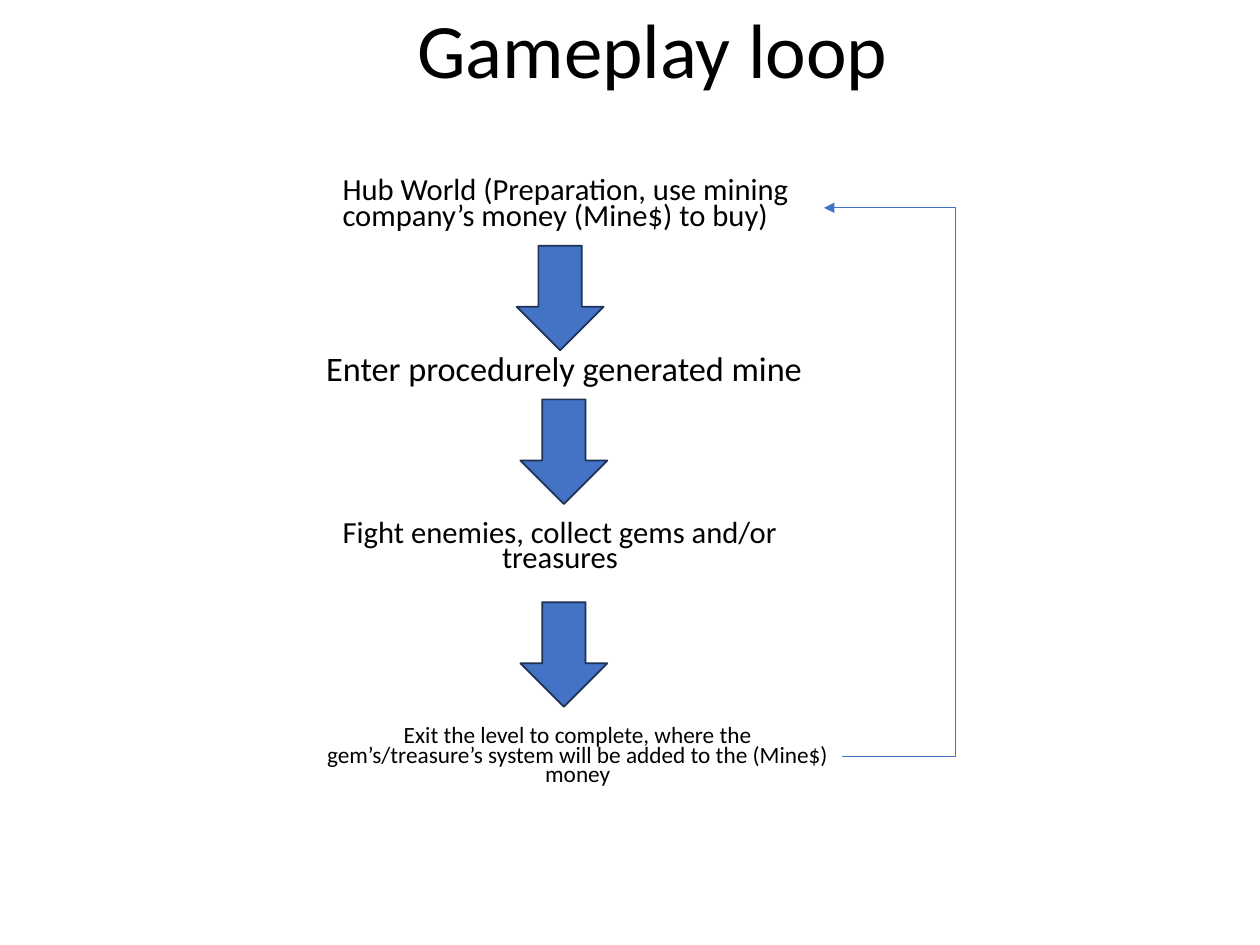
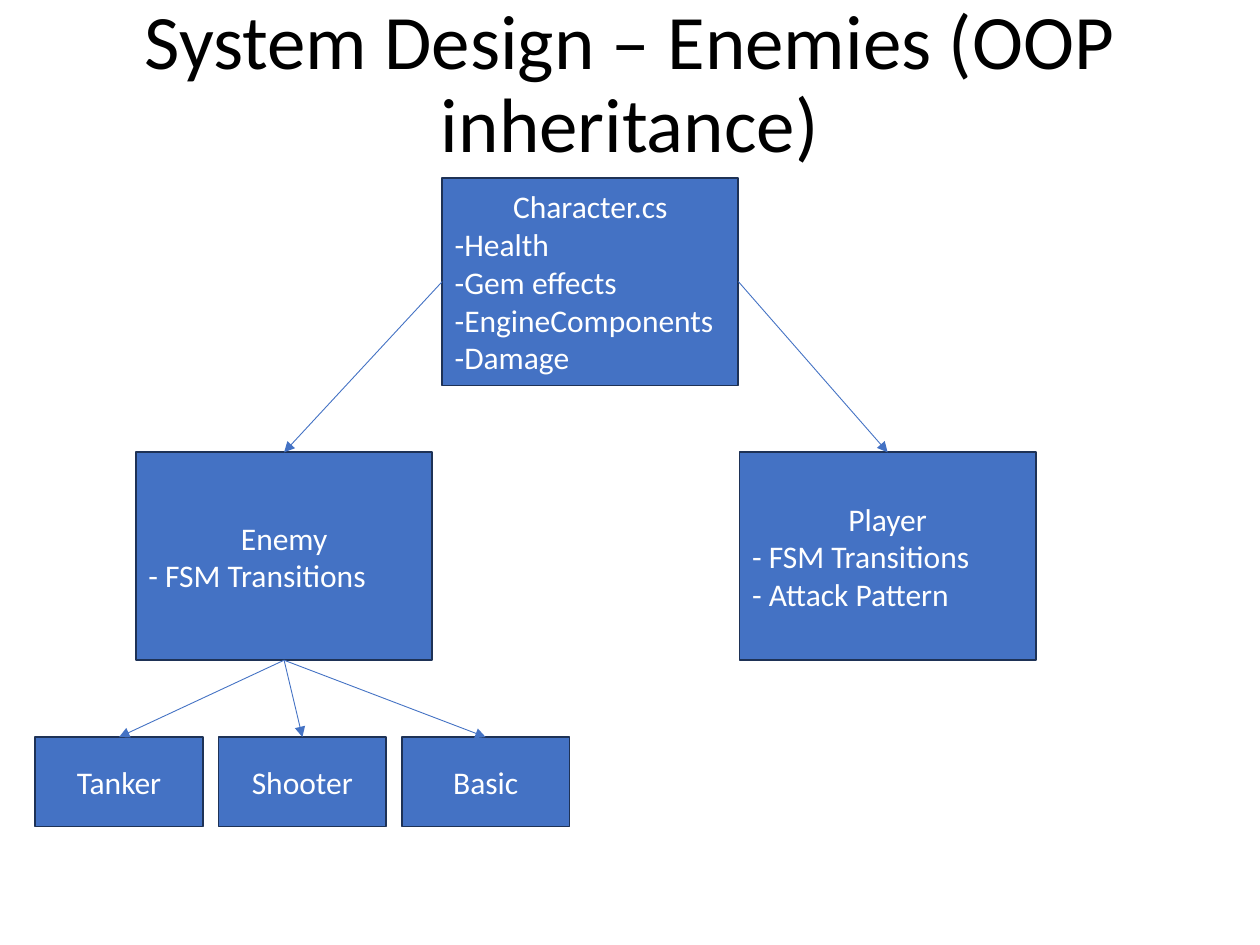
from dataclasses import dataclass

from lxml.etree import SubElement
from pptx import Presentation
from pptx.dml.color import RGBColor
from pptx.enum.shapes import MSO_CONNECTOR, MSO_SHAPE
from pptx.enum.text import MSO_ANCHOR, MSO_AUTO_SIZE, PP_ALIGN
from pptx.oxml.ns import qn
from pptx.util import Inches, Pt


@dataclass(frozen=True)
class Theme:
    font: str = "Calibri"
    text: RGBColor = RGBColor(0x00, 0x00, 0x00)
    box_text: RGBColor = RGBColor(0xFF, 0xFF, 0xFF)
    accent: RGBColor = RGBColor(0x44, 0x72, 0xC4)
    outline: RGBColor = RGBColor(0x1E, 0x32, 0x56)
    title_size: float = 44
    box_size: float = 18
    outline_width: float = 1
    connector_width: float = 0.5


THEME = Theme()
TOP, LEFT, BOTTOM, RIGHT = range(4)

# Each step: box, text, size, alignment
STEPS = [
    ((2.62, 1.38, 3.92, 0.54), "Hub World (Preparation, use mining company’s money (Mine$) to buy)",
     17.5, PP_ALIGN.LEFT),
    ((2.49, 2.8, 4.19, 0.54), "Enter procedurely generated mine", 19.6, PP_ALIGN.LEFT),
    ((2.35, 4.1, 4.19, 0.54), "Fight enemies, collect gems and/or treasures", 17.5, PP_ALIGN.CENTER),
    ((2.49, 5.73, 4.19, 0.54),
     "Exit the level to complete, where the gem’s/treasure’s system will be added to the (Mine$) money",
     13.3, PP_ALIGN.CENTER),
]
STEP_ARROWS = [(4.03, 2.02), (4.06, 3.24), (4.06, 4.85)]
ARROW_SIZE = (0.83, 0.69)
LOOP_LANE = 7.58

CLASS_SIZE = (2.35, 1.65)
CHARACTER = ["Character.cs", "-Health", "-Gem effects", "-EngineComponents", "-Damage"]
ENEMY = ["Enemy", "- FSM Transitions"]
PLAYER = ["Player", "- FSM Transitions", "- Attack Pattern"]
ENEMY_TYPES = ["Tanker", "Shooter", "Basic"]


def inches(*lengths):
    return [Inches(length) for length in lengths]


def format_para(para, size, color, align, line_spacing=None, space_before=None):
    para.alignment = align
    para.line_spacing = line_spacing
    if space_before is not None:
        para.space_before = Pt(space_before)
    for span in para.runs:
        span.font.name = THEME.font
        span.font.size = Pt(size)
        span.font.color.rgb = color


def add_titled_page(deck, title, box):
    page = deck.slides.add_slide(deck.slide_layouts[5])
    holder = page.shapes.title
    holder.left, holder.top, holder.width, holder.height = inches(*box)
    frame = holder.text_frame
    frame.text = title
    frame.word_wrap = True
    frame.auto_size = MSO_AUTO_SIZE.NONE
    frame.vertical_anchor = MSO_ANCHOR.MIDDLE
    format_para(frame.paragraphs[0], THEME.title_size, THEME.text, PP_ALIGN.CENTER, 0.9)
    return page


def add_filled_shape(page, kind, box):
    shape = page.shapes.add_shape(kind, *inches(*box))
    shape.shadow.inherit = False
    shape.fill.solid()
    shape.fill.fore_color.rgb = THEME.accent
    shape.line.color.rgb = THEME.outline
    shape.line.width = Pt(THEME.outline_width)
    return shape


def add_arrow_line(page, kind, start=(0, 0), end=(0, 0)):
    connector = page.shapes.add_connector(kind, *inches(*start, *end))
    connector.line.color.rgb = THEME.accent
    connector.line.width = Pt(THEME.connector_width)
    properties = connector._element.spPr
    SubElement(properties.find(qn("a:ln")), qn("a:tailEnd"), type="triangle")
    SubElement(properties, qn("a:effectLst"))
    return connector


def add_step(page, box, text, size, align):
    frame = page.shapes.add_textbox(*inches(*box)).text_frame
    frame.word_wrap = True
    frame.text = text
    format_para(frame.paragraphs[0], size, THEME.text, align, 0.7, 10)


def add_loop_back(page, from_box, to_box, lane):
    """Run an elbow from one box's right side out to the lane and back to the other's."""
    start, end = [(left + width, top + height / 2)
                  for left, top, width, height in (from_box, to_box)]
    elbow = add_arrow_line(page, MSO_CONNECTOR.ELBOW, start, end)
    bend = (lane - start[0]) / (end[0] - start[0])
    guides = elbow._element.spPr.find(qn("a:prstGeom")).find(qn("a:avLst"))
    SubElement(guides, qn("a:gd"), name="adj1", fmla=f"val {round(bend * 100000)}")


def add_class_box(page, box, lines):
    """Place a rectangle with a centred name and left-aligned members."""
    shape = add_filled_shape(page, MSO_SHAPE.RECTANGLE, box)
    frame = shape.text_frame
    frame.word_wrap = True
    frame.vertical_anchor = MSO_ANCHOR.MIDDLE
    frame.text = "\n".join(lines)
    for index, para in enumerate(frame.paragraphs):
        align = PP_ALIGN.LEFT if index else PP_ALIGN.CENTER
        format_para(para, THEME.box_size, THEME.box_text, align)
    return shape


def add_class_row(page, box, names, box_width):
    """Spread equal boxes over the full width of the row."""
    left, top, width, height = box
    step = (width - box_width) / (len(names) - 1)
    return [add_class_box(page, (left + index * step, top, box_width, height), [name])
            for index, name in enumerate(names)]


def join(page, parent, side, child):
    connector = add_arrow_line(page, MSO_CONNECTOR.STRAIGHT)
    connector.begin_connect(parent, side)
    connector.end_connect(child, TOP)


def build_gameplay_loop(deck):
    page = add_titled_page(deck, "Gameplay loop ", (0.94, -0.3, 8.62, 1.45))
    for step in STEPS:
        add_step(page, *step)
    for position in STEP_ARROWS:
        arrow = add_filled_shape(page, MSO_SHAPE.RIGHT_ARROW, position + ARROW_SIZE)
        arrow.rotation = 90
    add_loop_back(page, STEPS[-1][0], STEPS[0][0], LOOP_LANE)


def build_enemy_design(deck):
    page = add_titled_page(deck, "System Design – Enemies (OOP inheritance)",
                           (0.69, -0.04, 8.62, 1.45))
    character = add_class_box(page, (3.51, 1.41) + CLASS_SIZE, CHARACTER)
    enemy = add_class_box(page, (1.08, 3.59) + CLASS_SIZE, ENEMY)
    player = add_class_box(page, (5.87, 3.59) + CLASS_SIZE, PLAYER)
    enemy_types = add_class_row(page, (0.28, 5.85, 4.24, 0.71), ENEMY_TYPES, 1.33)
    join(page, character, LEFT, enemy)
    join(page, character, RIGHT, player)
    for enemy_type in enemy_types:
        join(page, enemy, BOTTOM, enemy_type)


def main():
    deck = Presentation()
    deck.slide_width, deck.slide_height = inches(10, 7.5)
    build_gameplay_loop(deck)
    build_enemy_design(deck)
    deck.save("out.pptx")


if __name__ == "__main__":
    main()
